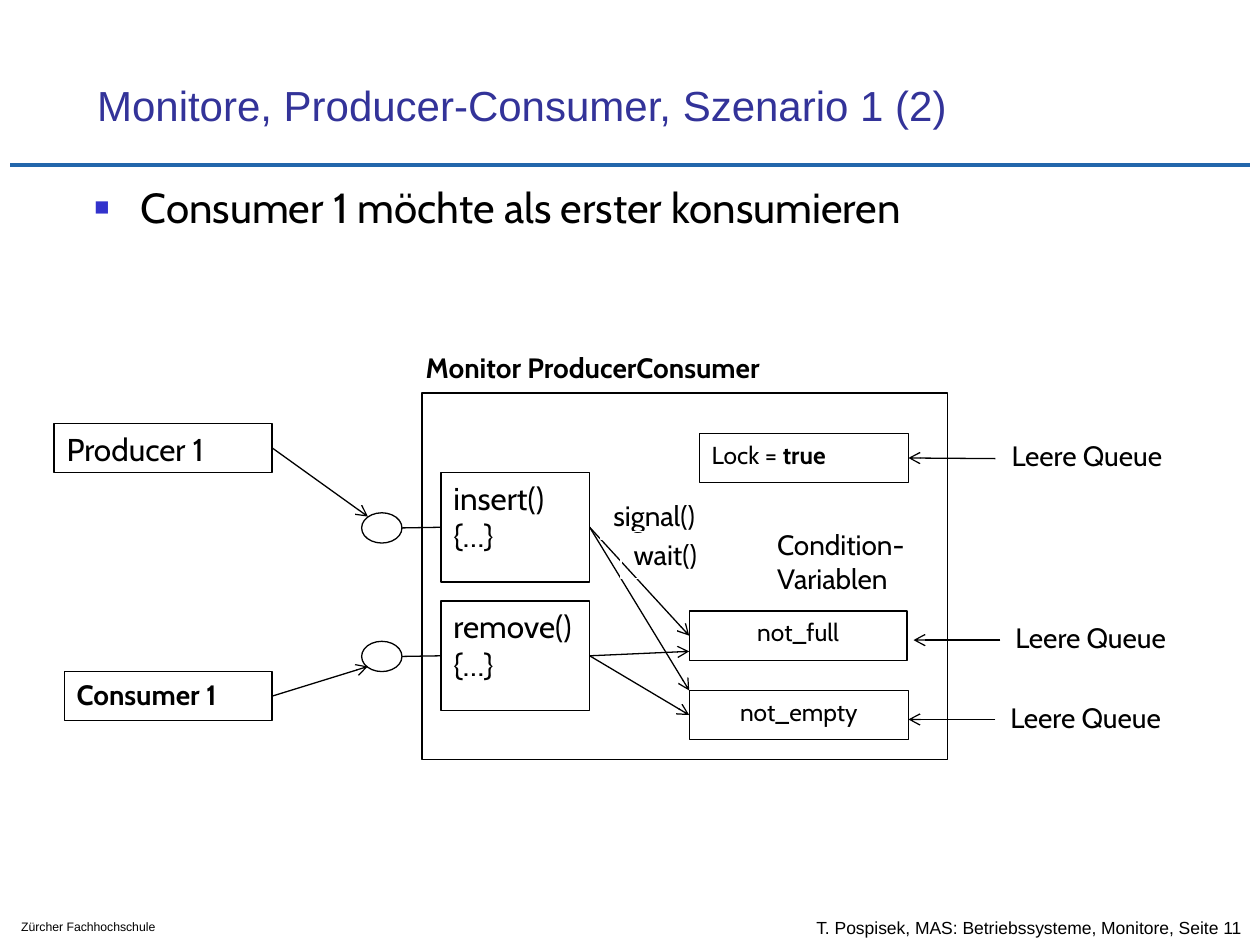
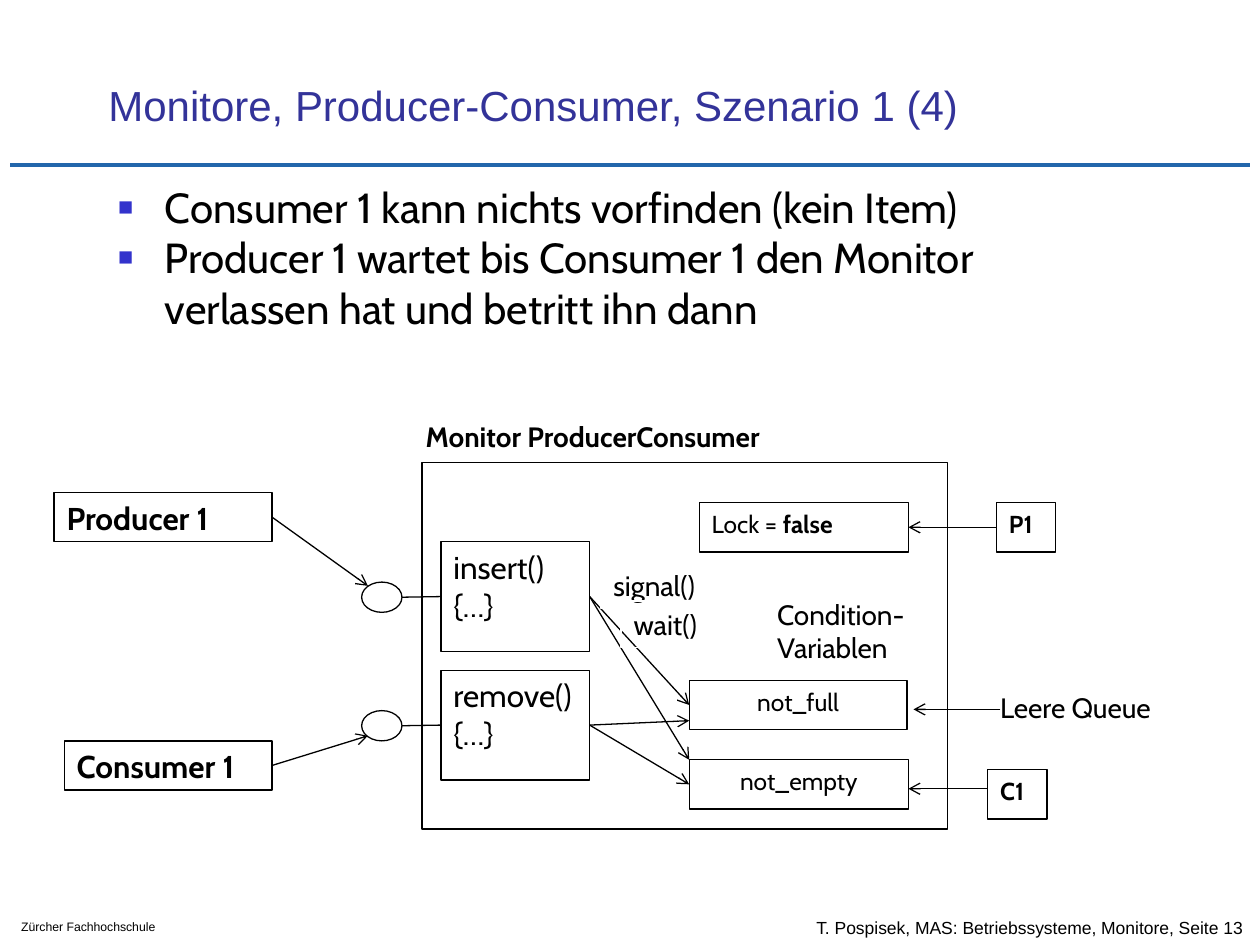
from dataclasses import dataclass

from lxml import etree
from pptx import Presentation
from pptx import util as u
from pptx.dml.color import RGBColor
from pptx.enum import shapes, text
from pptx.oxml import ns

Inches = u.Inches
RECT, OVAL = shapes.MSO_SHAPE.RECTANGLE, shapes.MSO_SHAPE.OVAL
LEFT, RIGHT = 1, 3  # connection sites of a rectangle


@dataclass(frozen=True)
class Theme:
    ink: str = "000000"
    paper: str = "FFFFFF"
    title: str = "333399"
    rule: str = "2266AB"
    bullet: str = "3333CC"
    head_font: str = "Arial"
    body_font: str = "Cabin"
    heading: int = 24
    large: int = 18
    medium: int = 16
    small: int = 14
    footer: int = 10
    imprint: int = 7
    thin: float = 0.75
    thick: float = 2.5


def rgb(value):
    return RGBColor.from_string(value)


def add_xml(parent, tag, **attrs):
    return etree.SubElement(parent, ns.qn(tag), attrs)


class Deck:
    def __init__(self, theme):
        self.theme = theme
        self.prs = Presentation()
        self.prs.slide_width, self.prs.slide_height = Inches(10), Inches(7.5)
        self.slide = None

    def new_slide(self, title, title_left, page):
        t = self.theme
        self.slide = self.prs.slides.add_slide(self.prs.slide_layouts[5])
        self.line((0.08, 1.31), (9.92, 1.31), t.rule, t.thick)
        self.label(6.38, 7.2, 3.62, 0.33,
                   [f"T. Pospisek, MAS: Betriebssysteme, Monitore, Seite {page}"],
                   t.footer, font=t.head_font, anchor=text.MSO_ANCHOR.MIDDLE)
        self.label(0.07, 7.25, 1.72, 0.22, ["Zürcher Fachhochschule"],
                   t.imprint, font=t.head_font)
        sp = self.slide.shapes.title
        self.place(sp, title_left, 0.33, 8.52, 0.75)
        self.set_text(sp, [title], t.heading, font=t.head_font, color=t.title,
                      anchor=text.MSO_ANCHOR.BOTTOM, wrap=True)

    @staticmethod
    def place(sp, x, y, w, h):
        sp.left, sp.top, sp.width, sp.height = map(Inches, (x, y, w, h))

    def set_text(self, sp, paras, size, bold=False, font=None, color=None,
                 align=text.PP_ALIGN.LEFT, anchor=text.MSO_ANCHOR.TOP,
                 wrap=False, grow=False, bullets=False):
        """Each paragraph is a string or a list of (text, bold) runs."""
        t = self.theme
        tf = sp.text_frame
        tf.word_wrap, tf.vertical_anchor = wrap, anchor
        tf.auto_size = (text.MSO_AUTO_SIZE.SHAPE_TO_FIT_TEXT if grow
                        else text.MSO_AUTO_SIZE.NONE)
        tf.margin_left = tf.margin_right = Inches(0.1)
        tf.margin_top = tf.margin_bottom = Inches(0.05)
        for i, para in enumerate(paras):
            p = tf.add_paragraph() if i else tf.paragraphs[0]
            p.alignment = align
            if bullets:
                self.add_bullet(p)
            runs = [(para, bold)] if isinstance(para, str) else para
            for words, is_bold in runs:
                r = p.add_run()
                r.text = words
                r.font.name = font or t.body_font
                r.font.size = u.Pt(size)
                r.font.bold = is_bold
                r.font.color.rgb = rgb(color or t.ink)

    def add_bullet(self, p):
        pPr = p._p.get_or_add_pPr()
        pPr.set("marL", str(Inches(0.38)))
        pPr.set("indent", str(Inches(-0.37)))
        add_xml(add_xml(pPr, "a:buClr"), "a:srgbClr", val=self.theme.bullet)
        add_xml(pPr, "a:buSzPct", val="60000")
        add_xml(pPr, "a:buFont", typeface=self.theme.head_font)
        add_xml(pPr, "a:buChar", char="■")

    def label(self, x, y, w, h, paras, size, grow=True, **style):
        sp = self.slide.shapes.add_textbox(*map(Inches, (x, y, w, h)))
        self.set_text(sp, paras, size, grow=grow, **style)

    def box(self, x, y, w, h, paras=(), size=None, kind=RECT, **style):
        t = self.theme
        sp = self.slide.shapes.add_shape(kind, *map(Inches, (x, y, w, h)))
        sp.shadow.inherit = False
        sp.fill.solid()
        sp.fill.fore_color.rgb = rgb(t.paper)
        sp.line.color.rgb = rgb(t.ink)
        sp.line.width = u.Pt(t.thin)
        if paras:
            self.set_text(sp, paras, size, **style)
        return sp

    def outlined_note(self, x, y, w, h, paras):
        """Unfilled text whose paper-coloured outline cuts the lines below."""
        sp = self.box(x, y, w, h, paras, self.theme.medium, grow=True)
        sp.fill.background()
        sp.line.color.rgb = rgb(self.theme.paper)

    def line(self, start, end, color=None, width=None, arrow=False):
        """An end is an (x, y) point or a (shape, site) pair."""
        t = self.theme
        joined = [not isinstance(e[0], (int, float)) for e in (start, end)]
        points = [(0, 0) if j else e for j, e in zip(joined, (start, end))]
        cx = self.slide.shapes.add_connector(
            shapes.MSO_CONNECTOR.STRAIGHT,
            *(Inches(v) for point in points for v in point))
        if joined[0]:
            cx.begin_connect(*start)
        if joined[1]:
            cx.end_connect(*end)
        cx.line.color.rgb = rgb(color or t.ink)
        cx.line.width = u.Pt(width or t.thin)
        spPr = cx._element.spPr
        if arrow:
            add_xml(spPr.find(ns.qn("a:ln")), "a:tailEnd", type="arrow")
        add_xml(spPr, "a:effectLst")

    def arrow(self, start, end):
        self.line(start, end, arrow=True)


@dataclass
class Scenario:
    lock: str
    dy: float = 0                # vertical shift of the whole diagram
    producer_bold: bool = False
    consumer_size: int = 16
    lock_waiter: str = ""        # empty: the queue is empty
    not_empty_waiter: str = ""
    queue_x: float = 7.96        # label beside not_full


def draw_monitor(deck, s):
    t, dy = deck.theme, s.dy
    center = text.PP_ALIGN.CENTER

    def empty_queue(x, y):
        deck.label(x, y + dy, 1.53, 0.37, ["Leere Queue"], t.medium)

    def waiter(x, y, name):
        return deck.box(x, y + dy, 0.47, 0.39, [name], t.small, bold=True)

    # Monitor frame with lock and condition variables
    deck.box(3.35, 3.12 + dy, 4.17, 2.91)
    deck.label(3.28, 2.73 + dy, 3.28, 0.37, ["Monitor ProducerConsumer"],
               t.medium, bold=True)
    lock = deck.box(5.55, 3.44 + dy, 1.66, 0.39,
                    [[("Lock = ", False), (s.lock, True)]], t.small)
    not_empty = deck.box(5.47, 5.48 + dy, 1.74, 0.39, ["not_empty"], t.small,
                         align=center)
    not_full = deck.box(5.47, 4.85 + dy, 1.73, 0.39, ["not_full"], t.small,
                        align=center)
    deck.outlined_note(6.07, 4.14 + dy, 1.28, 0.63, ["Condition-", "Variablen"])

    # Queues
    if s.lock_waiter:
        lock_start = (waiter(7.91, 3.44, s.lock_waiter), LEFT)
    else:
        lock_start = (7.9, 3.64 + dy)
        empty_queue(7.93, 3.43)
    deck.arrow(lock_start, (lock, RIGHT))
    deck.arrow((7.94, 5.08 + dy), (7.25, 5.08 + dy))
    empty_queue(s.queue_x, 4.88)
    deck.arrow((7.9, 5.71 + dy), (7.21, 5.71 + dy))
    if s.not_empty_waiter:
        waiter(7.84, 5.56, s.not_empty_waiter)
    else:
        empty_queue(7.92, 5.51)

    # Threads, entry points and methods
    producer = deck.box(0.43, 3.36 + dy, 1.73, 0.39, ["Producer 1"], t.large,
                        bold=s.producer_bold)
    consumer = deck.box(0.51, 5.33 + dy, 1.65, 0.39, ["Consumer 1"],
                        s.consumer_size, bold=True)
    methods = []
    for name, y in (("insert()", 3.75), ("remove()", 4.77)):
        method = deck.box(3.5, y + dy, 1.18, 0.87, [name, "{…}"], t.large)
        deck.box(2.87, y + 0.32 + dy, 0.32, 0.24, kind=OVAL)
        deck.line((3.19, y + 0.44 + dy), (method, LEFT))
        methods.append(method)
    insert, remove = methods
    deck.arrow((producer, RIGHT), (2.92, 4.1 + dy))
    deck.arrow((consumer, RIGHT), (2.92, 5.29 + dy))

    # Calls on the condition variables
    deck.arrow((insert, RIGHT), (not_full, LEFT))
    deck.arrow((insert, RIGHT), (5.47, 5.48 + dy))
    deck.arrow((remove, RIGHT), (5.47, 5.17 + dy))
    deck.arrow((remove, RIGHT), (not_empty, LEFT))
    deck.outlined_note(4.77, 3.91 + dy, 0.95, 0.37, ["signal()"])
    deck.outlined_note(4.93, 4.22 + dy, 0.77, 0.37, ["wait()"])


def main():
    deck = Deck(Theme())
    t = deck.theme

    # Consumer enters the monitor first
    deck.new_slide("Monitore, Producer-Consumer, Szenario 1 (2)", 0.67, 11)
    deck.label(0.64, 1.39, 7.43, 0.5,
               ["Consumer 1 möchte als erster konsumieren"],
               t.heading, bullets=True)
    draw_monitor(deck, Scenario(lock="true"))

    # Consumer waits, producer may enter
    deck.new_slide("Monitore, Producer-Consumer, Szenario 1 (4)", 0.76, 13)
    deck.label(0.83, 1.39, 8.34, 1.3,
               ["Consumer 1 kann nichts vorfinden (kein Item)",
                "Producer 1 wartet bis Consumer 1 den Monitor verlassen hat "
                "und betritt ihn dann"],
               t.heading, bullets=True, wrap=True)
    draw_monitor(deck, Scenario(lock="false", dy=0.55, producer_bold=True,
                                consumer_size=t.large, lock_waiter="P1",
                                not_empty_waiter="C1", queue_x=7.84))

    deck.prs.save("out.pptx")


if __name__ == "__main__":
    main()
